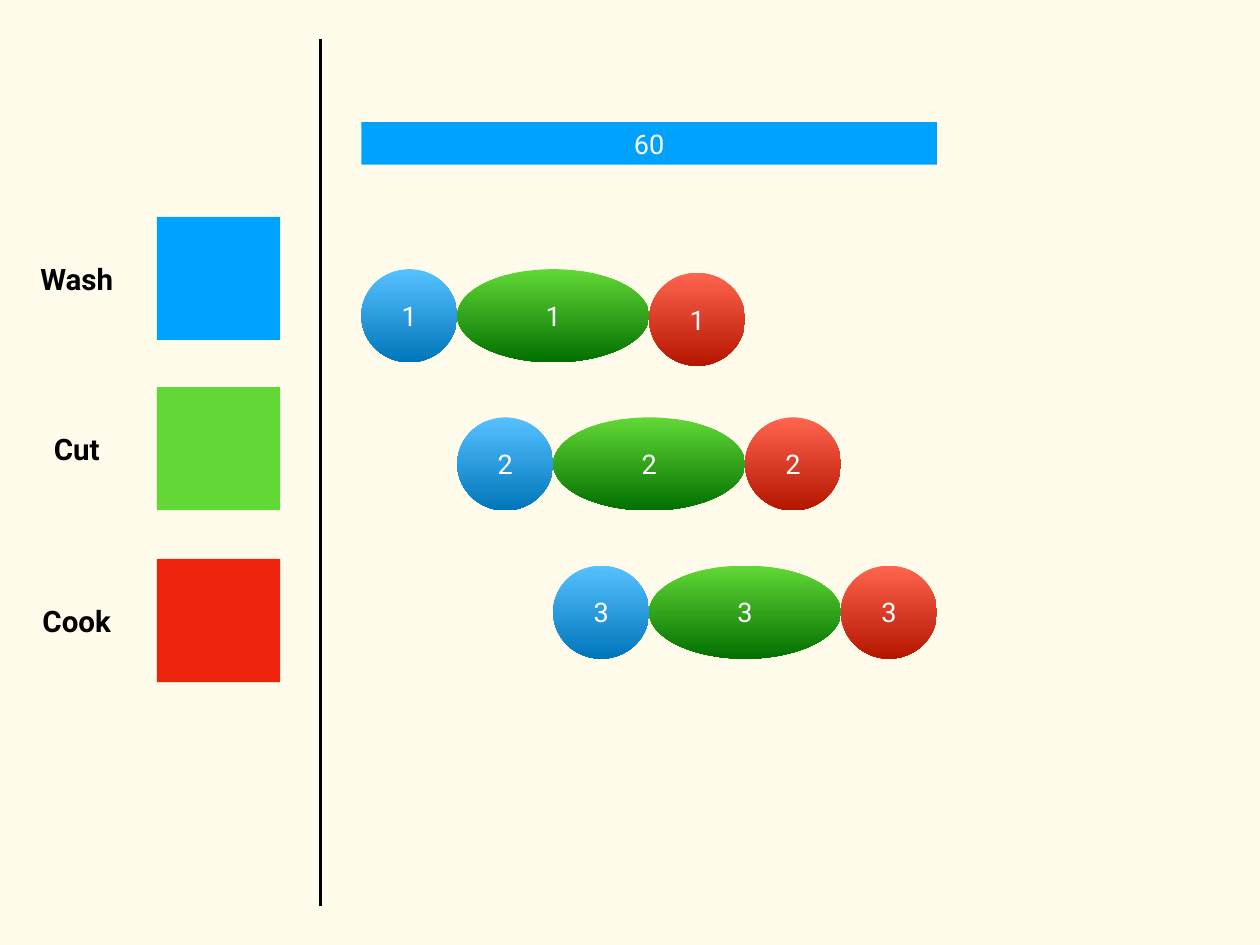
"""Build a slide of three dishes passing through wash, cut and cook steps."""
from lxml import etree
from pptx import Presentation, util as u
from pptx.dml.color import RGBColor
from pptx.enum import shapes, text
from pptx.oxml import ns

hues = {
    "paper": "FFFCEB", "ink": "000000", "white": "FFFFFF",
    "Wash": "00A2FF", "Cut": "61D836", "Cook": "EE230C",
    "Wash top": "56C1FF", "Wash base": "0076BA",
    "Cut top": "61D836", "Cut base": "027001",
    "Cook top": "FF644E", "Cook base": "B51600",
}


def tint(name):
    return RGBColor.from_string(hues[name])


def write(shape, words, size, hue, bold=False):
    frame = shape.text_frame
    frame.text = words
    frame.vertical_anchor = text.MSO_ANCHOR.MIDDLE
    frame.margin_left = frame.margin_right = u.Cm(0.14)
    frame.margin_top = frame.margin_bottom = u.Cm(0.14)
    para = frame.paragraphs[0]
    para.alignment = text.PP_ALIGN.CENTER
    font = para.runs[0].font
    font.name, font.size, font.bold = "Roboto", u.Pt(size), bold
    font.color.rgb = tint(hue)


deck = Presentation()
deck.slide_width, deck.slide_height = u.Cm(36.12), u.Cm(27.1)
slide = deck.slides.add_slide(deck.slide_layouts[6])
slide.background.fill.solid()
slide.background.fill.fore_color.rgb = tint("paper")
items = slide.shapes
kinds = shapes.MSO_SHAPE

side = 3.53
for name, top, wide in [("Wash", 6.22, 2.57), ("Cut", 11.1, 1.7), ("Cook", 16.03, 2.41)]:
    block = items.add_shape(kinds.RECTANGLE, u.Cm(4.5), u.Cm(top), u.Cm(side), u.Cm(side))
    block.shadow.inherit = False
    block.fill.solid()
    block.fill.fore_color.rgb = tint(name)
    block.line.fill.background()
    label = items.add_textbox(u.Cm(2.2 - wide / 2), u.Cm(top + 1.12), u.Cm(wide), u.Cm(1.32))
    write(label, name, 24, "ink", True)
    label.text_frame.word_wrap = False
    label.text_frame.auto_size = text.MSO_AUTO_SIZE.SHAPE_TO_FIT_TEXT

rule = items.add_connector(shapes.MSO_CONNECTOR.STRAIGHT, u.Cm(9.19), u.Cm(25.98), u.Cm(9.19), u.Cm(1.12))
rule.line.color.rgb = tint("ink")
rule.line.width = u.Pt(2)
etree.SubElement(rule._element.spPr, ns.qn("a:effectLst"))

start, unit = 10.36, 2.75
for name, delay, span in [("Wash", 0, 1), ("Cut", 1, 2), ("Cook", 3, 1)]:
    for dish in range(3):
        drop = 0.1 if name == "Cook" and dish == 0 else 0
        left, top = start + unit * (delay + dish), 7.72 + 4.25 * dish + drop
        task = items.add_shape(kinds.OVAL, u.Cm(left), u.Cm(top), u.Cm(unit * span), u.Cm(2.67))
        task.shadow.inherit = False
        task.line.fill.background()
        task.fill.gradient()
        task.fill.gradient_angle = 270
        for stop, end, place in zip(task.fill.gradient_stops, ("top", "base"), (0, 1)):
            stop.color.rgb = tint(f"{name} {end}")
            stop.position = place
        write(task, str(dish + 1), 22, "white")

total = items.add_shape(kinds.RECTANGLE, u.Cm(start), u.Cm(3.5), u.Cm(6 * unit), u.Cm(1.22))
total.shadow.inherit = False
total.fill.solid()
total.fill.fore_color.rgb = tint("Wash")
total.line.fill.background()
write(total, "60", 22, "white")

deck.save("out.pptx")
